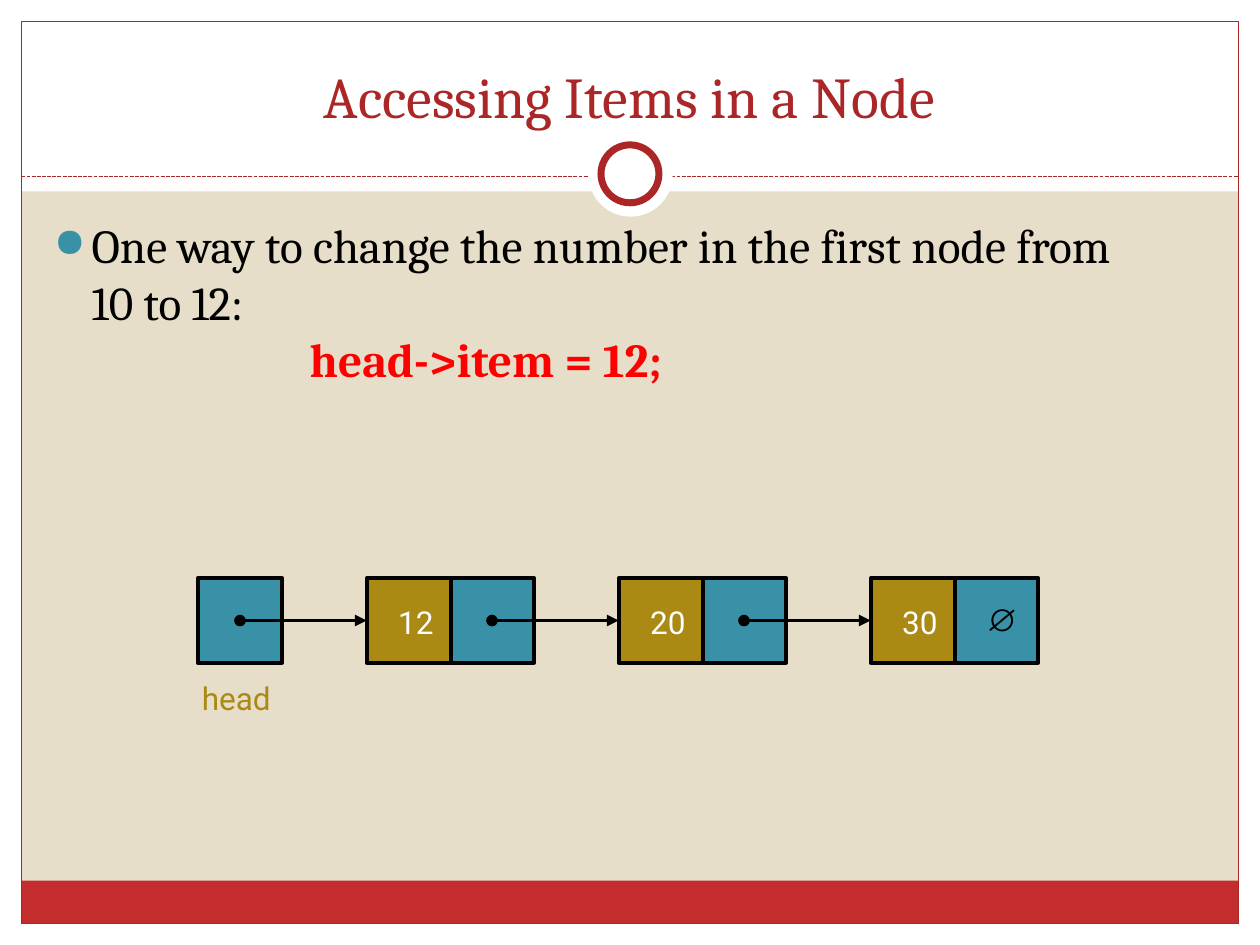
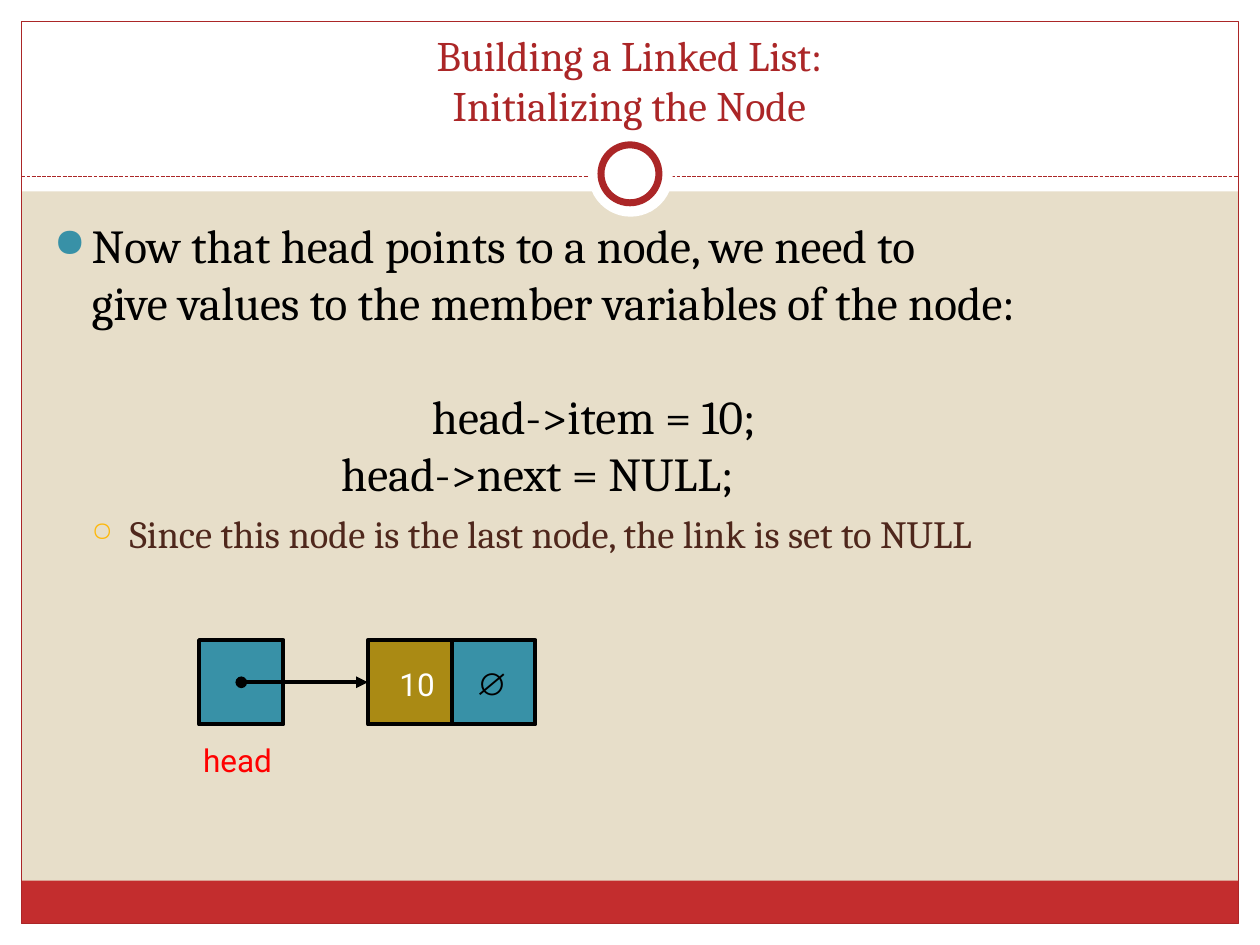
from lxml.etree import SubElement
from pptx import Presentation
from pptx.dml.color import RGBColor
from pptx.enum.dml import MSO_LINE
from pptx.enum.shapes import MSO_CONNECTOR, MSO_SHAPE
from pptx.enum.text import MSO_ANCHOR, PP_ALIGN
from pptx.oxml.ns import qn
from pptx.util import Inches, Pt


class Theme:
    sand, white, black = "E7DEC9", "FFFFFF", "000000"
    band, crimson, red = "C32D2E", "AB2627", "FF0000"
    teal, olive, amber, brown = "3891A7", "AA8A14", "FEB80A", "4F271C"
    serif, sans, symbol = "Cambria", "Roboto", "Arial"
    body, sub, label = 27, 22, 18


CELL = 0.67        # side of a list cell
CELL_STEP = 0.66   # neighbouring cells overlap by their outline
NODE_PITCH = 2     # from one pointer cell to the next

# Body paragraphs: text, margin, hanging, space before, size, colour, bold, bullet
# Bullets: character, colour, percent of text size
DOT = ("●", Theme.teal, 85)
RING = ("○", Theme.amber, 70)
SLIDES = [
    dict(
        title="Accessing Items in a Node", title_size=33,
        body=[
            ("One way to change the number in the first node from\v10 to 12:",
             0.3, 0.3, 0, Theme.body, Theme.black, False, DOT),
            ("head->item = 12;", 2.03, 0, 0, Theme.body, Theme.red, True, None),
        ],
        items=["12", "20", "30"], list_at=(1.57, 4.59),
        null_offset=(0.16, 0.12), head_color=Theme.olive,
    ),
    dict(
        title="Building a Linked List:\vInitializing the Node", title_size=24,
        body=[
            ("Now that head points to a node, we need to\v"
             "give values to the member variables of the node:",
             0.3, 0.3, 0, Theme.body, Theme.black, False, DOT),
            ("head->item = 10;", 3, 0, 32.5, Theme.body, Theme.black, False, None),
            ("head->next = NULL;", 2.28, 0, 0, Theme.body, Theme.black, False, None),
            ("Since this node is the last node, the link is set to NULL",
             0.6, 0.3, 5.5, Theme.sub, Theme.brown, False, RING),
        ],
        items=["10"], list_at=(1.58, 5.08),
        null_offset=(0.1, 0.14), head_color=Theme.red,
    ),
]


def add_box(s, at, fill=None, line=None, width=2.25, kind=MSO_SHAPE.RECTANGLE):
    sp = s.shapes.add_shape(kind, *map(Inches, at))
    sp.shadow.inherit = False
    if fill:
        sp.fill.solid()
        sp.fill.fore_color.rgb = RGBColor.from_string(fill)
    else:
        sp.fill.background()
    if line:
        sp.line.color.rgb = RGBColor.from_string(line)
        sp.line.width = Pt(width)
    else:
        sp.line.fill.background()
    return sp


def add_text(s, at, paragraphs, font, align=PP_ALIGN.LEFT, wrap=True):
    """Add a text box; each paragraph is laid out as in SLIDES."""
    tf = s.shapes.add_textbox(*map(Inches, at)).text_frame
    tf.word_wrap = wrap
    for i, (text, margin, hanging, before, size, color, bold, bullet) in enumerate(paragraphs):
        p = tf.add_paragraph() if i else tf.paragraphs[0]
        p.text = text
        p.alignment = align
        pPr = p._p.get_or_add_pPr()
        pPr.set("marL", str(Inches(margin)))
        pPr.set("indent", str(-Inches(hanging)))
        if bullet:
            char, bullet_color, percent = bullet
            SubElement(SubElement(pPr, qn("a:buClr")), qn("a:srgbClr"), val=bullet_color)
            SubElement(pPr, qn("a:buSzPct"), val=str(percent * 1000))
            SubElement(pPr, qn("a:buChar"), char=char)
        if before:
            p.space_before = Pt(before)
        for r in p.runs:
            r.font.name = font
            r.font.size = Pt(size)
            r.font.bold = bold
            r.font.color.rgb = RGBColor.from_string(color)
    return tf


prs = Presentation()
prs.slide_width, prs.slide_height = Inches(10), Inches(7.5)

for content in SLIDES:
    s = prs.slides.add_slide(prs.slide_layouts[6])
    s.background.fill.solid()
    s.background.fill.fore_color.rgb = RGBColor.from_string(Theme.sand)

    # White margins, footer band, frame
    for at in [(0, 7.33, 10, 0.17), (0, 0, 10, 1.52), (0, 0, 0.17, 7.5), (9.83, 0, 0.17, 7.5)]:
        add_box(s, at, Theme.white)
    add_box(s, (0.17, 6.99, 9.66, 0.34), Theme.band)
    add_box(s, (0.17, 0.17, 9.66, 7.16), line=Theme.crimson, width=0.75)

    # Dashed divider with the ring on it
    divider = s.shapes.add_connector(
        MSO_CONNECTOR.STRAIGHT, Inches(0.17), Inches(1.4), Inches(9.83), Inches(1.4))
    divider.line.color.rgb = RGBColor.from_string(Theme.crimson)
    divider.line.width = Pt(0.75)
    divider.line.dash_style = MSO_LINE.SQUARE_DOT
    SubElement(divider._element.spPr, qn("a:effectLst"))
    add_box(s, (4.67, 1.05, 0.67, 0.67), Theme.white, kind=MSO_SHAPE.OVAL)
    add_box(s, (4.77, 1.15, 0.46, 0.46), Theme.white, Theme.crimson, 4, MSO_SHAPE.OVAL)

    title = (content["title"], 0, 0, 0, content["title_size"], Theme.crimson, False, None)
    tf = add_text(s, (0.33, 0.25, 9.33, 0.83), [title], Theme.serif, PP_ALIGN.CENTER)
    tf.vertical_anchor = MSO_ANCHOR.BOTTOM
    add_text(s, (0.33, 1.67, 9.3, 5), content["body"], Theme.serif)

    # Linked list: the head pointer, then an item cell and a pointer cell per node
    x, y = content["list_at"]
    add_box(s, (x, y, CELL, CELL), Theme.teal, Theme.black)
    labels = [("head", x - 0.09, y + 0.75, 0.79, Theme.sans, content["head_color"])]
    for item in content["items"]:
        start_x, mid_y = x + CELL / 2, y + CELL / 2
        x += NODE_PITCH
        item_x = x - CELL_STEP
        add_box(s, (x, y, CELL, CELL), Theme.teal, Theme.black)
        item_cell = add_box(s, (item_x, y, CELL, CELL), Theme.olive, Theme.black)
        labels.append((item, item_x + 0.15, y + 0.15, 0.48, Theme.sans, Theme.white))

        arrow = s.shapes.add_connector(
            MSO_CONNECTOR.STRAIGHT, Inches(start_x), Inches(mid_y), Inches(item_x), Inches(mid_y))
        arrow.end_connect(item_cell, 1)
        arrow.line.color.rgb = RGBColor.from_string(Theme.black)
        arrow.line.width = Pt(2.25)
        ln = arrow._element.spPr.find(qn("a:ln"))
        SubElement(ln, qn("a:headEnd"), type="oval")
        SubElement(ln, qn("a:tailEnd"), type="triangle")
        SubElement(arrow._element.spPr, qn("a:effectLst"))

    dx, dy = content["null_offset"]
    labels.append(("∅", x + dx, y + dy, 0.4, Theme.symbol, Theme.black))
    for text, left, top, width, font, color in labels:
        label = (text, 0, 0, 0, Theme.label, color, False, None)
        add_text(s, (left, top, width, 0.4), [label], font, PP_ALIGN.CENTER, wrap=False)

prs.save("out.pptx")
